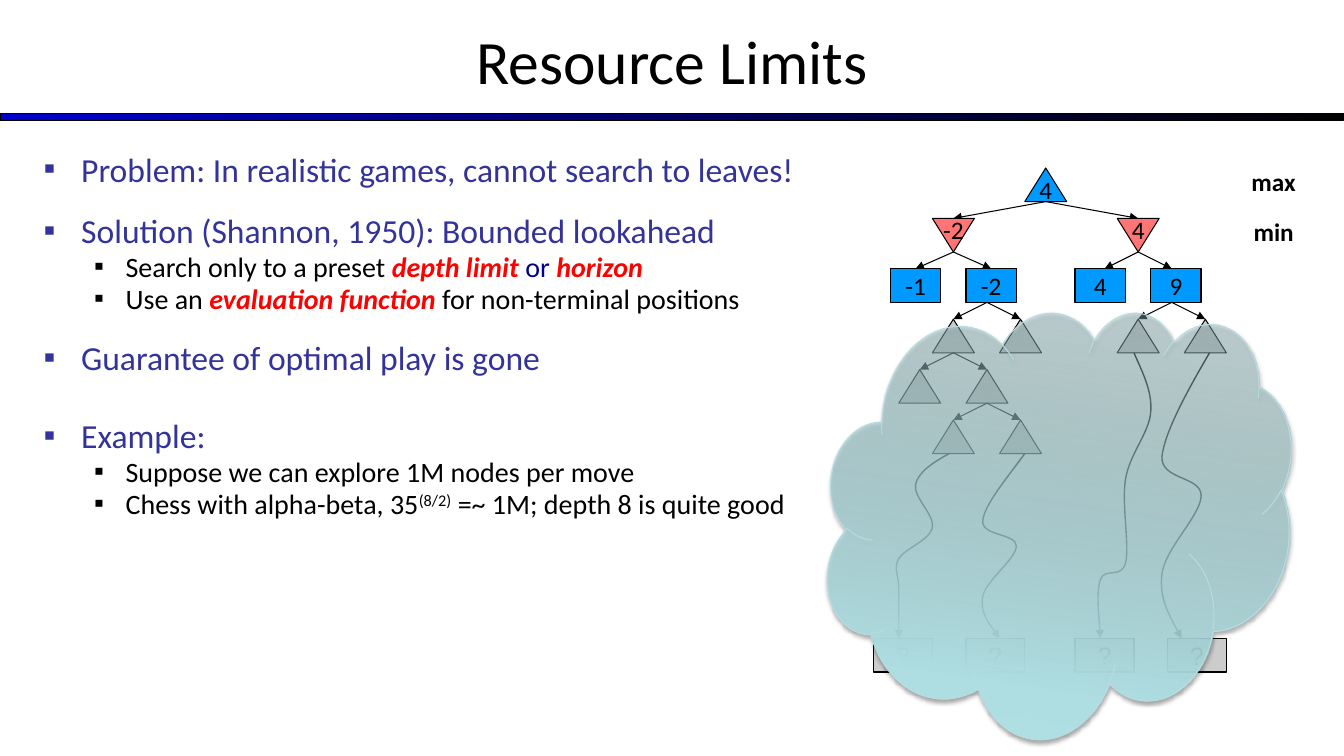
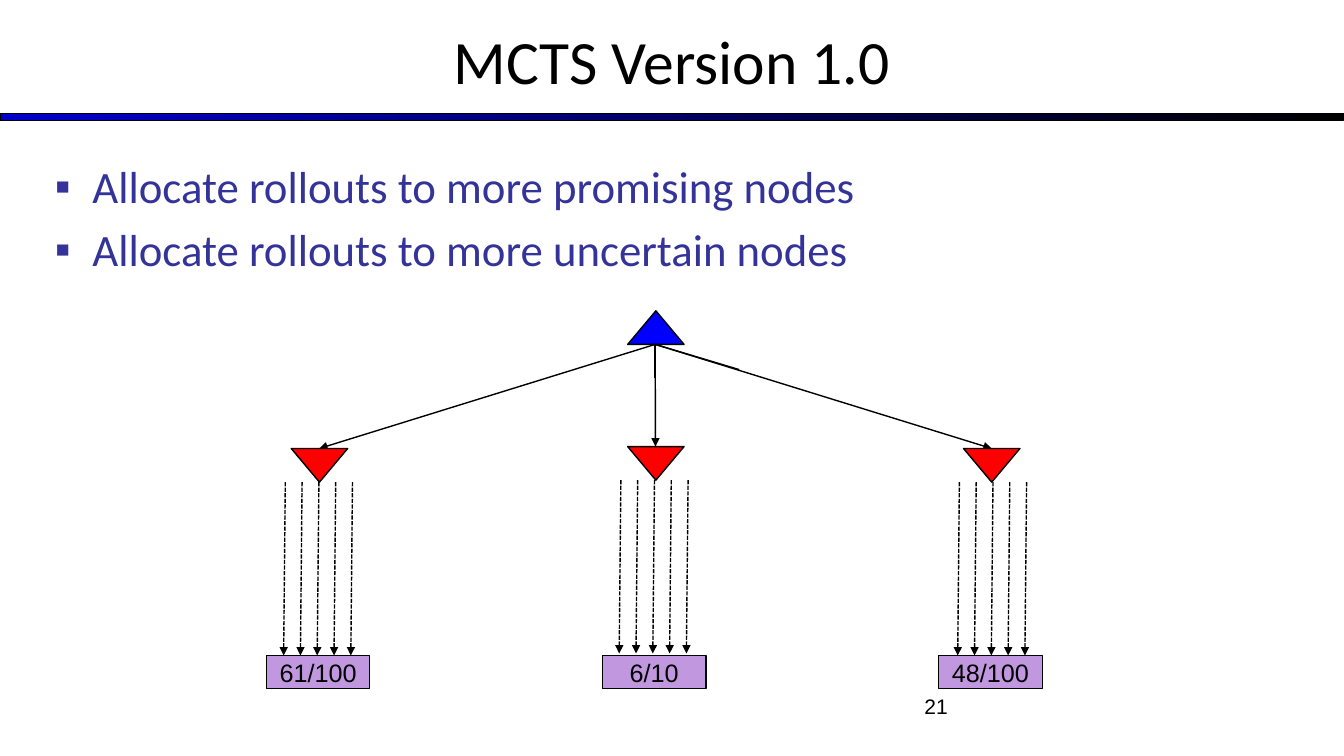
import dataclasses

import lxml.etree
import pptx
import pptx.dml.color
import pptx.enum.dml
import pptx.enum.shapes
import pptx.enum.text
import pptx.oxml
import pptx.oxml.ns
import pptx.util

Pt = pptx.util.Pt
Shape = pptx.enum.shapes.MSO_SHAPE
Anchor = pptx.enum.text.MSO_ANCHOR
Align = pptx.enum.text.PP_ALIGN
Fit = pptx.enum.text.MSO_AUTO_SIZE


@dataclasses.dataclass(frozen=True)
class Theme:
    font: str = "Calibri"
    plain_font: str = "Arial"
    ink: str = "000000"
    heading: str = "333399"
    alert: str = "FF0000"
    navy: str = "000090"
    hidden_node: str = "CCCCCC"
    max_node: str = "0099FF"
    min_node: str = "FF7575"
    rollout_root: str = "0000FF"
    rollout_child: str = "FF0000"
    score: str = "C198E0"
    cloud_edge: str = "B6DCDF"
    bar_stops: tuple = ((0, "0000CC", 100), (100, "000000", 100))
    cloud_stops: tuple = ((0, "87ABAE", 30), (80, "AFDEE2", 100), (100, "AFE0E4", 100))
    title_size: int = 44
    large_size: int = 32
    list_size: int = 24
    detail_size: int = 20
    label_size: int = 18
    number_size: int = 15
    thin: float = 0.75
    medium: float = 1


THEME = Theme()


def color(value):
    return pptx.dml.color.RGBColor.from_string(value)


def add_element(parent, tag, **attributes):
    element = lxml.etree.SubElement(parent, pptx.oxml.ns.qn(tag))
    for name, value in attributes.items():
        element.set(name, str(value))
    return element


def style_font(font, size, ink=THEME.ink, name=THEME.font, bold=False, italic=False):
    font.size = Pt(size)
    font.name = name
    font.bold = bold
    font.italic = italic
    font.color.rgb = color(ink)


def place(shape, left, top, width, height):
    shape.left, shape.top = Pt(left), Pt(top)
    shape.width, shape.height = Pt(width), Pt(height)


def fill_gradient(shape, stops, angle):
    shape.fill.gradient()
    shape.fill.gradient_angle = angle
    stop_list = shape.element.spPr.find(".//" + pptx.oxml.ns.qn("a:gsLst"))
    for stop in list(stop_list):
        stop_list.remove(stop)
    for position, value, opacity in stops:
        stop = add_element(stop_list, "a:gs", pos=position * 1000)
        tint = add_element(stop, "a:srgbClr", val=value)
        if opacity < 100:
            add_element(tint, "a:alpha", val=opacity * 1000)


def add_figure(page, kind, box, fill=None, line=THEME.thin, edge=THEME.ink):
    shape = page.shapes.add_shape(kind, *map(Pt, box))
    shape.shadow.inherit = False
    if fill:
        shape.fill.solid()
        shape.fill.fore_color.rgb = color(fill)
    shape.line.color.rgb = color(edge)
    shape.line.width = Pt(line)
    return shape


def write_label(shape, text, name=THEME.font, anchor=Anchor.MIDDLE, top_inset=3.6):
    frame = shape.text_frame
    frame.text = text
    frame.word_wrap = False
    frame.vertical_anchor = anchor
    frame.margin_top = Pt(top_inset)
    para = frame.paragraphs[0]
    para.alignment = Align.CENTER
    style_font(para.runs[0].font, THEME.label_size, name=name)


def add_text(page, box, text, size, name=THEME.font, align=Align.CENTER, bold=False):
    label = page.shapes.add_textbox(*map(Pt, box))
    label.text_frame.text = text
    label.text_frame.word_wrap = True
    para = label.text_frame.paragraphs[0]
    para.alignment = align
    style_font(para.runs[0].font, size, name=name, bold=bold)
    return label


def finish_line(line, width, arrow=True):
    line.line.color.rgb = color(THEME.ink)
    line.line.width = Pt(width)
    if arrow:
        add_element(line.line._get_or_add_ln(), "a:tailEnd", type="triangle")


def add_edge(page, start, end, width=THEME.thin, arrow=True, dashed=False):
    edge = page.shapes.add_connector(
        pptx.enum.shapes.MSO_CONNECTOR.STRAIGHT, *map(Pt, (*start, *end)))
    if dashed:
        edge.line.dash_style = pptx.enum.dml.MSO_LINE.SQUARE_DOT
    finish_line(edge, width, arrow)
    add_element(edge.element.spPr, "a:effectLst")


def add_curve(page, points):
    corners = [tuple(map(Pt, point)) for point in points]
    builder = page.shapes.build_freeform(*corners[0])
    builder.add_line_segments(corners[1:], close=False)
    curve = builder.convert_to_shape()
    outline = curve.element.spPr.find(".//" + pptx.oxml.ns.qn("a:path"))
    segments = outline.findall(pptx.oxml.ns.qn("a:lnTo"))
    for first in range(0, len(segments), 3):
        bend = add_element(outline, "a:cubicBezTo")
        for segment in segments[first:first + 3]:
            bend.append(segment[0])
            outline.remove(segment)
    curve.shadow.inherit = False
    curve.fill.background()
    finish_line(curve, THEME.medium)


def add_bullet(para, left, indent, ink):
    properties = para._p.get_or_add_pPr()
    properties.set("marL", str(Pt(left)))
    properties.set("indent", str(-Pt(indent)))
    add_element(add_element(properties, "a:buClr"), "a:srgbClr", val=ink)
    add_element(properties, "a:buFont", typeface=THEME.plain_font)
    add_element(properties, "a:buChar", char="▪")


def fill_list(page, box, items, size, spacing):
    body = page.placeholders[1]
    place(body, *box)
    frame = body.text_frame
    frame.auto_size = Fit.NONE
    for index, (level, gap, spans) in enumerate(items):
        para = frame.add_paragraph() if index else frame.paragraphs[0]
        para.level = level
        ink = THEME.ink if level else THEME.heading
        add_bullet(para, *((58.5, 22.5) if level else (26.8, 26.8)), ink)
        para.space_before = Pt(gap)
        para.line_spacing = spacing
        for text, style in spans:
            span = para.add_run()
            span.text = text
            style_font(span.font, THEME.detail_size if level else size,
                       style.get("ink", ink), bold=style.get("strong", False),
                       italic=style.get("strong", False))
            if style.get("raised"):
                span.font._element.set("baseline", "30000")


def set_up_layout(deck):
    layout = deck.slide_layouts[1]
    title = layout.placeholders[0]
    place(title, 0, -2, 960, 90)
    title.text_frame.vertical_anchor = Anchor.MIDDLE
    return layout


def add_page(deck, layout, title):
    page = deck.slides.add_slide(layout)
    frame = page.shapes.title.text_frame
    frame.text = title
    frame.auto_size = Fit.NONE
    frame.paragraphs[0].alignment = Align.CENTER
    style_font(frame.paragraphs[0].runs[0].font, THEME.title_size)
    return page


def add_layout_bar(layout, page):
    bar = add_figure(page, Shape.RECTANGLE, (0, 81, 960, 5))
    fill_gradient(bar, THEME.bar_stops, 0)
    layout.shapes.element.append(bar.element)


def draw_cloud(page, box):
    cloud = add_figure(page, Shape.CLOUD, box, edge=THEME.cloud_edge)
    cloud.rotation = 8.4
    fill_gradient(cloud, THEME.cloud_stops, 270)
    effects = cloud.element.spPr.find(pptx.oxml.ns.qn("a:effectLst"))
    shadow = add_element(effects, "a:outerShdw", blurRad=Pt(3.1), dist=Pt(1.8),
                         dir=5400000, rotWithShape=0)
    add_element(add_element(shadow, "a:srgbClr", val=THEME.ink), "a:alpha", val=35000)


def draw_search_tree(page, left, top):
    pitch, node_width, node_height = 36, 30, 24

    def node(kind, center, row, fill, width=node_width, line=THEME.thin):
        box = (left + center - width / 2, top + row * pitch, width, node_height)
        return add_figure(page, kind, box, fill, line)

    forks = ((156, 0, 90, 222), (90, 1, 63, 117), (222, 1, 198, 246),
             (114, 2, 90, 138), (246, 2, 222, 270), (90, 3, 66, 114),
             (114, 4, 90, 138))
    for parent, row, *children in forks:
        for child in children:
            add_edge(page, (left + parent, top + row * pitch + node_height),
                     (left + child, top + (row + 1) * pitch))
            if row >= 2:
                node(Shape.ISOSCELES_TRIANGLE, child, row + 1, THEME.hidden_node)

    for center in (54, 120, 198, 264):
        leaf = node(Shape.RECTANGLE, center, 6, THEME.hidden_node, 42, THEME.medium)
        leaf.top = Pt(top + 336)
        write_label(leaf, "?", THEME.plain_font)

    curves = (
        ((87, 204), (76, 210), (65, 217), (63, 226), (61, 235), (77, 248), (75, 257),
         (73, 266), (55, 272), (51, 279), (47, 286), (51, 291), (51, 300),
         (51, 310), (51, 323), (51, 336)),
        ((141, 204), (127, 223), (112, 241), (111, 252), (110, 263), (135, 261),
         (135, 270), (135, 279), (113, 295), (111, 306), (109, 317), (116, 326),
         (123, 336)),
        ((273, 132), (256, 161), (241, 189), (239, 206), (238, 223), (267, 220),
         (267, 234), (267, 248), (241, 272), (239, 290), (237, 307), (245, 321),
         (253, 336)),
        ((219, 132), (225, 146), (232, 159), (231, 174), (230, 189), (216, 204),
         (213, 222), (210, 240), (216, 270), (213, 282), (210, 294), (198, 285),
         (195, 294), (192, 303), (194, 319), (195, 336)))
    for points in curves:
        add_curve(page, [(left + x, top + y) for x, y in points])

    for center, text in ((63, "-1"), (117, "-2"), (195, "4"), (249, "9")):
        write_label(node(Shape.RECTANGLE, center, 2, THEME.max_node, 36, THEME.medium), text)
    root = node(Shape.ISOSCELES_TRIANGLE, 156, 0, THEME.max_node)
    write_label(root, "4", anchor=Anchor.BOTTOM, top_inset=14.4)
    for row, text in ((1, "min"), (0, "max")):
        label = add_text(page, (left + 292.5, top - 5 + row * pitch, 52.5, 29), text,
                         THEME.label_size, bold=True)
        label.text_frame.vertical_anchor = Anchor.MIDDLE
    for center, text in ((90, "-2"), (222, "4")):
        reply = node(Shape.ISOSCELES_TRIANGLE, center, 1, THEME.min_node)
        reply.rotation = 180
        write_label(reply, text, top_inset=7.2)
        reply.text_frame._txBody.bodyPr.set("rot", "10800000")
    draw_cloud(page, (left, top + 96, 330, 312))


def draw_rollouts(page, left, top):
    node_width, node_height, rollout_height = 40.3, 24, 123.8
    source = (left + 240, top + node_height)
    add_figure(page, Shape.ISOSCELES_TRIANGLE,
               (source[0] + 0.5 - node_width / 2, top, node_width, node_height),
               THEME.rollout_root, THEME.medium)
    for across, down in ((0, 24), (60, 18)):
        add_edge(page, source, (source[0] + across, source[1] + down),
                 THEME.medium, arrow=False)
    branches = (("61/100", 0.2, 98.4, -24.2), ("6/10", 240.5, 97, 215.5),
                ("48/100", 480.4, 98.4, 457.3))
    for index, (text, center, drop, first_rollout) in enumerate(branches):
        child_top = top + drop
        add_edge(page, source, (left + index * 240.2, child_top), THEME.medium)
        child = add_figure(page, Shape.ISOSCELES_TRIANGLE,
                           (left + center - node_width / 2, child_top,
                            node_width, node_height),
                           THEME.rollout_child, THEME.medium)
        child.element.spPr.xfrm.set("flipV", "1")
        score = add_figure(page, Shape.RECTANGLE,
                           (left - 37.8 + index * 240.1, top + 246, 74, 24), THEME.score)
        write_label(score, text, THEME.plain_font)
        for order in range(5):
            start = (left + first_rollout + 12 * order, child_top + node_height)
            add_edge(page, start, (start[0] - 1.2, start[1] + rollout_height),
                     THEME.medium, dashed=True)


def build_limits(deck, layout):
    page = add_page(deck, layout, "Resource Limits")
    add_layout_bar(layout, page)
    key = {"ink": THEME.alert, "strong": True}
    items = (
        (0, 0, [("Problem: In realistic games, cannot search to leaves!", {})]),
        (0, 21, [("Solution (Shannon, 1950): Bounded lookahead", {})]),
        (1, 4, [("Search only to a preset ", {}), ("depth limit", key),
                (" or ", {"ink": THEME.navy}), ("horizon", key)]),
        (1, 4, [("Use an ", {}), ("evaluation function ", key),
                ("for non-terminal positions", {})]),
        (0, 21, [("Guarantee of optimal play is gone", {})]),
        (0, 32.8, [("Example:", {})]),
        (1, 4, [("Suppose we can explore 1M nodes per move", {})]),
        (1, 4, [("Chess with alpha-beta, 35", {}), ("(8/2)", {"raised": True}),
                (" =~ 1M; depth 8 is quite good", {})]))
    fill_list(page, (24, 108, 558, 356), items, THEME.list_size, 0.8)
    draw_search_tree(page, 591, 120)


def build_rollouts(deck, layout):
    page = add_page(deck, layout, "MCTS Version 1.0")
    items = ((0, 0, [("Allocate rollouts to more promising nodes", {})]),
             (0, 6.4, [("Allocate rollouts to more uncertain nodes", {})]))
    fill_list(page, (32, 110, 896, 100), items, THEME.large_size, 1.0)
    add_text(page, (516, 492, 168, 37), "21", THEME.number_size,
             THEME.plain_font, Align.RIGHT)
    draw_rollouts(page, 228, 222)


def main():
    deck = pptx.Presentation()
    deck.slide_width, deck.slide_height = Pt(960), Pt(540)
    layout = set_up_layout(deck)
    build_limits(deck, layout)
    build_rollouts(deck, layout)
    deck.save("out.pptx")


if __name__ == "__main__":
    main()
